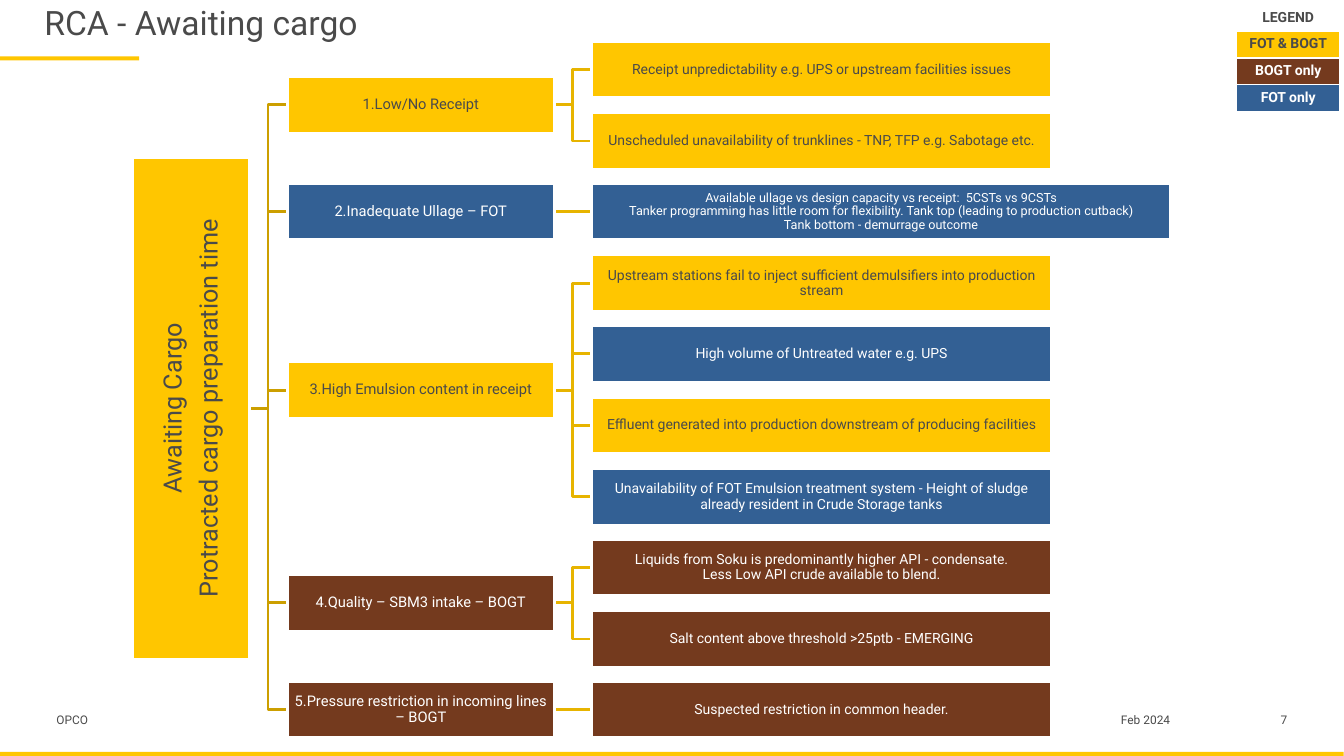
"""Root cause tree for cargo waiting time, with a colour legend."""
import copy

import pptx
import pptx.dml.color
import pptx.enum.shapes
import pptx.enum.text
import pptx.oxml
import pptx.oxml.ns
import pptx.util

ALIGN = pptx.enum.text.PP_ALIGN
ANCHOR = pptx.enum.text.MSO_ANCHOR
RECT = pptx.enum.shapes.MSO_SHAPE.RECTANGLE
STRAIGHT = pptx.enum.shapes.MSO_CONNECTOR.STRAIGHT
QN = pptx.oxml.ns.qn

COLORS = {
    "both": "FFC600", "bogt": "743A1E", "fot": "336094", "white": "FFFFFF",
    "ink": "4A4A4A", "trunk": "CC9F00", "twig": "E7B400",
}
SCALE = 9144
ROOT_X, ROOT_W, ROOT_H, ROOT_Y = 132, 116, 498, 405
BRANCH_X, BRANCH_W = 285, 265
LEAF_X, LEAF_W = 587, 456
LEAF_Y, LEAF_STEP, BOX_H = 69, 70.6, 56

ROOT = ["Awaiting Cargo", "Protracted cargo preparation time"]
TREE = [
    ("both", "1.Low/No Receipt", [
        ("both", "Receipt unpredictability e.g. UPS or upstream facilities issues"),
        ("both", "Unscheduled unavailability of trunklines - TNP, TFP e.g. Sabotage etc."),
    ]),
    ("fot", "2.Inadequate Ullage – FOT", [
        ("fot", "Available ullage vs design capacity vs receipt:  5CSTs vs 9CSTs\n"
                "Tanker programming has little room for flexibility. "
                "Tank top (leading to production cutback)\n"
                "Tank bottom - demurrage outcome", {"w": 574, "size": 9}),
    ]),
    ("both", "3.High Emulsion content in receipt", [
        ("both", "Upstream stations fail to inject sufficient demulsifiers into production stream"),
        ("fot", "High volume of Untreated water e.g. UPS"),
        ("both", "Effluent generated into production downstream of producing facilities"),
        ("fot", "Unavailability of FOT Emulsion treatment system - "
                "Height of sludge already resident in Crude Storage tanks"),
    ]),
    ("bogt", "4.Quality – SBM3 intake – BOGT", [
        ("bogt", "Liquids from Soku is predominantly higher API - condensate.\n"
                 "Less Low API crude available to blend."),
        ("bogt", "Salt content above threshold >25ptb - EMERGING"),
    ]),
    ("bogt", "5.Pressure restriction in incoming lines – BOGT", [
        ("bogt", "Suspected restriction in common header."),
    ]),
]
LEGEND = [(None, "LEGEND"), ("both", "FOT & BOGT"), ("bogt", "BOGT only"), ("fot", "FOT only")]
FOOTER = [
    (56, 367, "OPCO", ALIGN.LEFT),
    (1058, 157, "Feb 2024", ALIGN.CENTER),
    (1238, 39, "7", ALIGN.RIGHT),
]


def px(n):
    return pptx.util.Emu(round(n * SCALE))


def rgb(name):
    return pptx.dml.color.RGBColor.from_string(COLORS[name])


def ink_on(fill):
    return "white" if fill in ("fot", "bogt") else "ink"


class Deck:
    """Holds the text style and the slide being drawn."""

    def __init__(self, w, h):
        self.prs = pptx.Presentation()
        self.prs.slide_width, self.prs.slide_height = px(w), px(h)
        self.s = self.prs.slides.add_slide(self.prs.slide_layouts[5])
        self.font = "Roboto"

    def set_text(self, tf, paras, size, color="ink", bold=False, inset=0, anchor=ANCHOR.TOP, **para):
        frame = {"word_wrap": True, "auto_size": pptx.enum.text.MSO_AUTO_SIZE.NONE,
                 "vertical_anchor": anchor}
        frame.update({f"margin_{side}": px(inset) for side in ("left", "right", "top", "bottom")})
        for name, value in frame.items():
            setattr(tf, name, value)
        for i, text in enumerate(paras):
            p = tf.add_paragraph() if i else tf.paragraphs[0]
            p.text = text
            for name, value in para.items():
                setattr(p, name, value)
            for r in p.runs:
                for name, value in {"name": self.font, "size": pptx.util.Pt(size), "bold": bold}.items():
                    setattr(r.font, name, value)
                r.font.color.rgb = rgb(color)
            for br in p._p.findall(QN("a:br")):
                br.append(copy.deepcopy(p.runs[0]._r.rPr))

    def title(self, x, y, w, h, text):
        sp = self.s.shapes.title
        for name, value in {"left": x, "top": y, "width": w, "height": h}.items():
            setattr(sp, name, px(value))
        self.set_text(sp.text_frame, [text], 24, alignment=ALIGN.LEFT)

    def rect(self, x, y, w, h, fill):
        sp = self.s.shapes.add_shape(RECT, px(x), px(y), px(w), px(h))
        sp.shadow.inherit = False
        sp.fill.solid()
        sp.fill.fore_color.rgb = rgb(fill)
        sp.line.fill.background()
        return sp

    def box(self, x, cy, w, h, fill, paras, size, rotation=0):
        sp = self.rect(x, cy - h / 2, w, h, fill)
        sp.rotation = rotation
        sp.line.color.rgb = rgb("white")
        sp.line.width = pptx.util.Pt(2)
        self.set_text(sp.text_frame, paras, size, ink_on(fill), inset=1, anchor=ANCHOR.MIDDLE,
                      alignment=ALIGN.CENTER, line_spacing=0.9,
                      space_after=pptx.util.Pt(size * 0.35))

    def label(self, x, y, w, h, text, align):
        sp = self.s.shapes.add_textbox(px(x), px(y), px(w), px(h))
        self.set_text(sp.text_frame, [text], 8.5, alignment=align)

    def link(self, x1, y1, x2, y2, color):
        if y1 == y2:
            sp = self.s.shapes.add_connector(STRAIGHT, px(x1), px(y1), px(x2), px(y2))
            sp._element.spPr.append(pptx.oxml.parse_xml(
                f'<a:effectLst {pptx.oxml.ns.nsdecls("a")}/>'))
        else:
            mid = (x1 + x2) / 2
            fb = self.s.shapes.build_freeform(x1, y1, scale=SCALE)
            fb.add_line_segments([(mid, y1), (mid, y2), (x2, y2)], close=False)
            sp = fb.convert_to_shape()
            sp.fill.background()
            sp.shadow.inherit = False
        sp.line.color.rgb = rgb(color)
        sp.line.width = pptx.util.Pt(2)

    def legend(self, x, y, w, h, rows):
        table = self.s.shapes.add_table(len(rows), 1, px(x), px(y), px(w), px(h)).table
        table.first_row = table.horz_banding = False
        for i, (fill, text) in enumerate(rows):
            cell = table.cell(i, 0)
            tc_pr = cell._tc.get_or_add_tcPr()
            for side in "LRTB":
                tc_pr.append(pptx.oxml.parse_xml(
                    f'<a:ln{side} {pptx.oxml.ns.nsdecls("a")} w="12700"><a:solidFill>'
                    f'<a:srgbClr val="{COLORS["white"]}"/></a:solidFill></a:ln{side}>'))
            if fill:
                cell.fill.solid()
                cell.fill.fore_color.rgb = rgb(fill)
            else:
                cell.fill.background()
            self.set_text(cell.text_frame, [text], 10, ink_on(fill), True, alignment=ALIGN.CENTER)
            for side in ("left", "right", "top", "bottom"):
                setattr(cell, f"margin_{side}", px(5))

    def tree(self):
        boxes, row = [], 0
        for fill, text, leaves in TREE:
            ys = [round(LEAF_Y + LEAF_STEP * (row + i)) for i in range(len(leaves))]
            row += len(leaves)
            cy = round((ys[0] + ys[-1]) / 2)
            self.link(ROOT_X + ROOT_W, ROOT_Y, BRANCH_X, cy, "trunk")
            boxes.append((BRANCH_X, cy, BRANCH_W, BOX_H, fill, [text], 10.5))
            for y, (leaf_fill, leaf_text, *extra) in zip(ys, leaves):
                opts = {"w": LEAF_W, "size": 10, **(extra[0] if extra else {})}
                self.link(BRANCH_X + BRANCH_W, cy, LEAF_X, y, "twig")
                boxes.append((LEAF_X, y, opts["w"], BOX_H, leaf_fill, [leaf_text], opts["size"]))
        self.box(ROOT_X + (ROOT_W - ROOT_H) / 2, ROOT_Y, ROOT_H, ROOT_W, "both", ROOT, 18, 270)
        for args in boxes:
            self.box(*args)


def main():
    deck = Deck(1333.33, 750)
    deck.rect(0, 56, 138, 4, "both")
    deck.rect(0, 746, 1333, 4, "both")
    deck.title(44, 2, 1222, 39, "RCA - Awaiting cargo")
    deck.tree()
    for x, w, text, align in FOOTER:
        deck.label(x, 707, w, 26, text, align)
    deck.legend(1227, 4, 102, 107, LEGEND)
    deck.prs.save("out.pptx")


if __name__ == "__main__":
    main()
